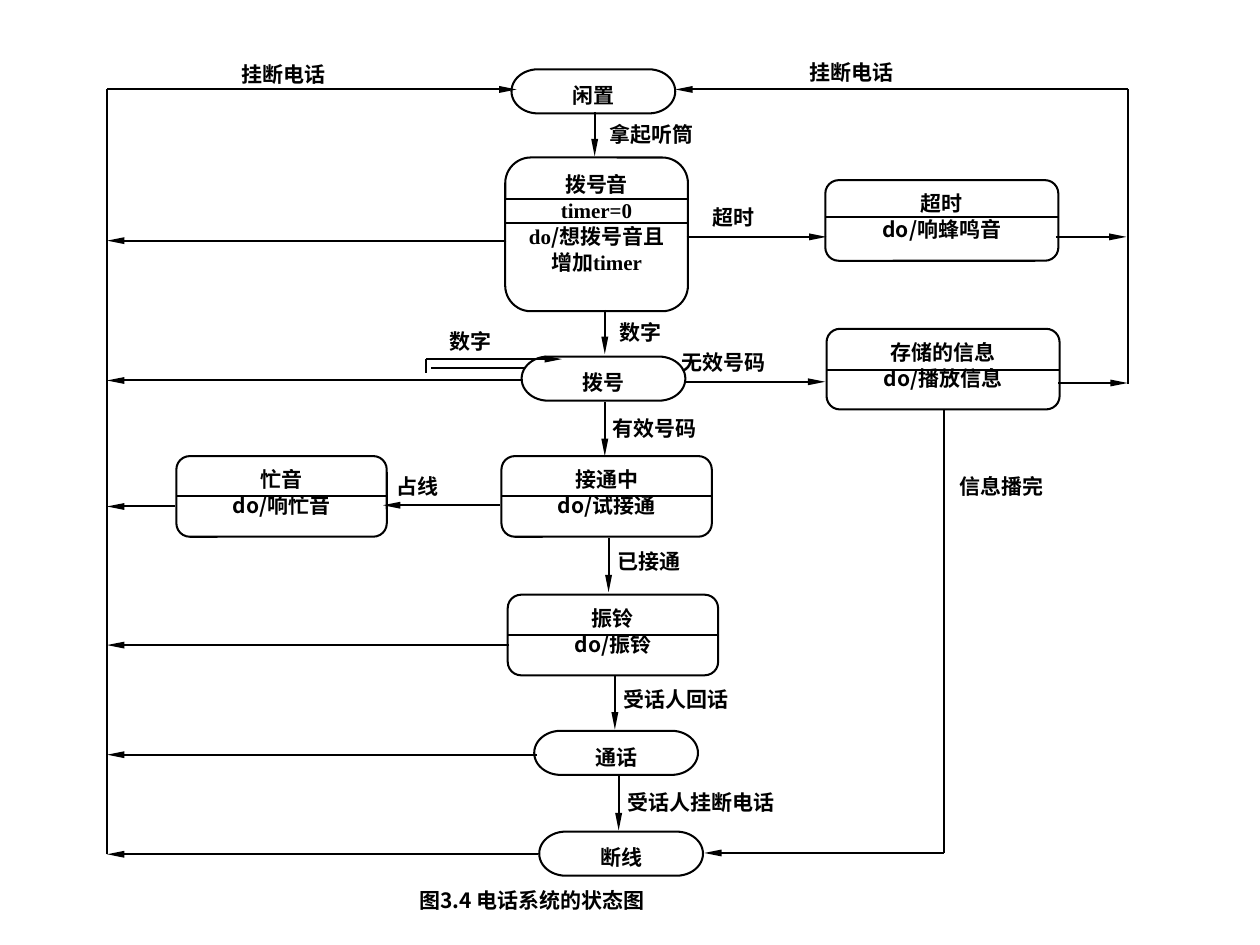
from lxml import etree
from pptx import Presentation
from pptx import util as u
from pptx.dml import color
from pptx.enum import shapes, text
from pptx.oxml import ns

COLORS = {"ink": "000000", "paper": "FFFFFF"}
SERIF, SANS = "Times New Roman", "Noto Sans CJK SC"
LEFT_RAIL, RIGHT_RAIL = 0.85, 8.95
TOP_RAIL, BOTTOM_RAIL = 0.71, 6.78

PILLS = [
    ("闲置", 4.06, 0.55), ("拨号", 4.14, 2.83), ("通话", 4.24, 5.80), ("断线", 4.28, 6.60),
]
STATES = [
    ((6.55, 1.43, 1.85, 0.64), ["超时", "do/响蜂鸣音"], 0.29),
    ((6.56, 2.61, 1.85, 0.64), ["存储的信息", "do/播放信息"], 0.33),
    ((3.98, 3.62, 1.67, 0.64), ["接通中", "do/试接通"], 0.32),
    ((4.03, 4.72, 1.67, 0.64), ["振铃", "do/振铃"], 0.32),
    ((1.40, 3.62, 1.67, 0.64), ["忙音", "do/响忙音"], 0.32),
]
DOWN_ARROWS = [
    (4.72, 0.89, 1.24), (4.80, 2.46, 2.81), (4.80, 3.19, 3.62),
    (4.83, 4.27, 4.70), (4.88, 5.36, 5.79), (4.91, 6.16, 6.59),
]
SIDE_ARROWS = [
    (5.45, 6.56, 1.88), (8.38, 8.94, 1.88), (5.43, 6.55, 3.03), (8.40, 8.95, 3.04),
    (3.97, 3.04, 4.01), (7.49, 5.59, 6.77), (RIGHT_RAIL, 5.36, TOP_RAIL),
    (LEFT_RAIL, 4.10, TOP_RAIL),
]
HANG_UP_ARROWS = [
    (4.02, 1.91), (4.15, 3.02), (1.39, 4.02), (4.04, 5.12), (4.26, 5.99), (4.27, BOTTOM_RAIL),
]
LABELS = [
    ("挂断电话", 1.82, 0.43, 1.48), ("挂断电话", 6.33, 0.42, 1.48),
    ("拿起听筒", 4.74, 0.91, 1.48), ("超时", 5.56, 1.57, 0.93),
    ("数字", 4.82, 2.48, 0.91), ("数字", 3.47, 2.55, 1.11),
    ("无效号码", 5.31, 2.72, 1.48), ("有效号码", 4.76, 3.24, 1.48),
    ("占线", 3.05, 3.70, 0.93), ("信息播完", 7.52, 3.70, 1.48),
    ("已接通", 4.80, 4.30, 1.11), ("受话人回话", 4.85, 5.39, 1.62),
    ("受话人挂断电话", 4.88, 6.21, 2.15),
]


def rgb(name):
    """Return the named palette colour."""
    return color.RGBColor.from_string(COLORS[name])


def write(shape, lines, font, alignment):
    """Fill a shape with bold lines; a line is a string or a list of (text, font) runs."""
    frame = shape.text_frame
    frame.word_wrap = True
    frame.vertical_anchor = text.MSO_ANCHOR.TOP
    for index, line in enumerate(lines):
        paragraph = frame.add_paragraph() if index else frame.paragraphs[0]
        paragraph.alignment = alignment
        paragraph.line_spacing = u.Pt(14.8)
        for content, face in [(line, font)] if isinstance(line, str) else line:
            run = paragraph.add_run()
            run.text = content
            run.font.name = face
            run.font.size = u.Pt(12)
            run.font.bold = True
            run.font.color.rgb = rgb("ink")
            east_asian = etree.SubElement(run.font._element, ns.qn("a:ea"))
            east_asian.set("typeface", SANS)


def add_line(slide, start, end, arrow=False):
    """Draw a straight line, with a slim arrowhead at its end if asked."""
    points = [u.Inches(value) for value in (*start, *end)]
    line = slide.shapes.add_connector(shapes.MSO_CONNECTOR.STRAIGHT, *points)
    line.line.color.rgb = rgb("ink")
    line.line.width = u.Pt(1.16)
    if arrow:
        tail = etree.SubElement(line.line._get_or_add_ln(), ns.qn("a:tailEnd"))
        for key, value in (("type", "triangle"), ("w", "sm"), ("len", "lg")):
            tail.set(key, value)
    etree.SubElement(line._element.spPr, ns.qn("a:effectLst"))


def add_node(slide, kind, box, lines, font):
    """Draw an outlined node with centred text in the box."""
    node = slide.shapes.add_shape(kind, *[u.Inches(value) for value in box])
    node.shadow.inherit = False
    node.fill.solid()
    node.fill.fore_color.rgb = rgb("paper")
    node.line.color.rgb = rgb("ink")
    node.line.width = u.Pt(1.16)
    write(node, lines, font, text.PP_ALIGN.CENTER)


def add_state(slide, box, lines, dividers, font=SANS):
    """Draw a rounded state with dividers at the given depths below its top."""
    add_node(slide, shapes.MSO_SHAPE.ROUNDED_RECTANGLE, box, lines, font)
    left, top, width, _ = box
    for depth in dividers:
        add_line(slide, (left, top + depth), (left + width, top + depth))


def add_label(slide, box, content, font=SERIF):
    """Place a line of text in the box."""
    label = slide.shapes.add_textbox(*[u.Inches(value) for value in box])
    write(label, [content], font, text.PP_ALIGN.JUSTIFY)


def add_states(slide):
    """Place every state of the telephone system."""
    for name, left, top in PILLS:
        add_node(slide, shapes.MSO_SHAPE.FLOWCHART_TERMINATOR,
                 (left, top, 1.3, 0.35), [name], SERIF)
    action = [("do", SERIF), ("/", SANS), ("想拨号音且增加timer", SERIF)]
    add_state(slide, (4.01, 1.25, 1.45, 1.22), ["拨号音", "timer=0", action],
              (0.33, 0.52), SERIF)
    for box, lines, depth in STATES:
        add_state(slide, box, lines, [depth])


def add_digit_loop(slide, left, top):
    """Draw the loop that returns to dialling after each digit."""
    add_line(slide, (left + 0.79, top + 0.07), (left + 0.04, top + 0.07))
    add_line(slide, (left, top + 0.11), (left, top))
    add_line(slide, (left, top), (left + 1.08, top), arrow=True)


def add_transitions(slide):
    """Draw the rails and arrows between the states."""
    add_line(slide, (LEFT_RAIL, BOTTOM_RAIL), (LEFT_RAIL, TOP_RAIL))
    add_line(slide, (RIGHT_RAIL, TOP_RAIL), (RIGHT_RAIL, 3.05))
    add_line(slide, (7.49, 3.25), (7.49, 6.77))
    for x, top, bottom in DOWN_ARROWS:
        add_line(slide, (x, top), (x, bottom), arrow=True)
    for start, end, y in SIDE_ARROWS:
        add_line(slide, (start, y), (end, y), arrow=True)
    for start, y in HANG_UP_ARROWS:
        add_line(slide, (start, y), (LEFT_RAIL, y), arrow=True)
    add_digit_loop(slide, 3.38, 2.85)


def main():
    """Build the state diagram slide and save it."""
    presentation = Presentation()
    presentation.slide_width = u.Inches(10)
    presentation.slide_height = u.Inches(7.5)
    slide = presentation.slides.add_slide(presentation.slide_layouts[6])
    add_states(slide)
    add_transitions(slide)
    for content, left, top, width in LABELS:
        add_label(slide, (left, top, width, 0.32), content)
    add_label(slide, (3.23, 6.99, 3.71, 0.43), "图3.4 电话系统的状态图", SANS)
    presentation.save("out.pptx")


if __name__ == "__main__":
    main()
